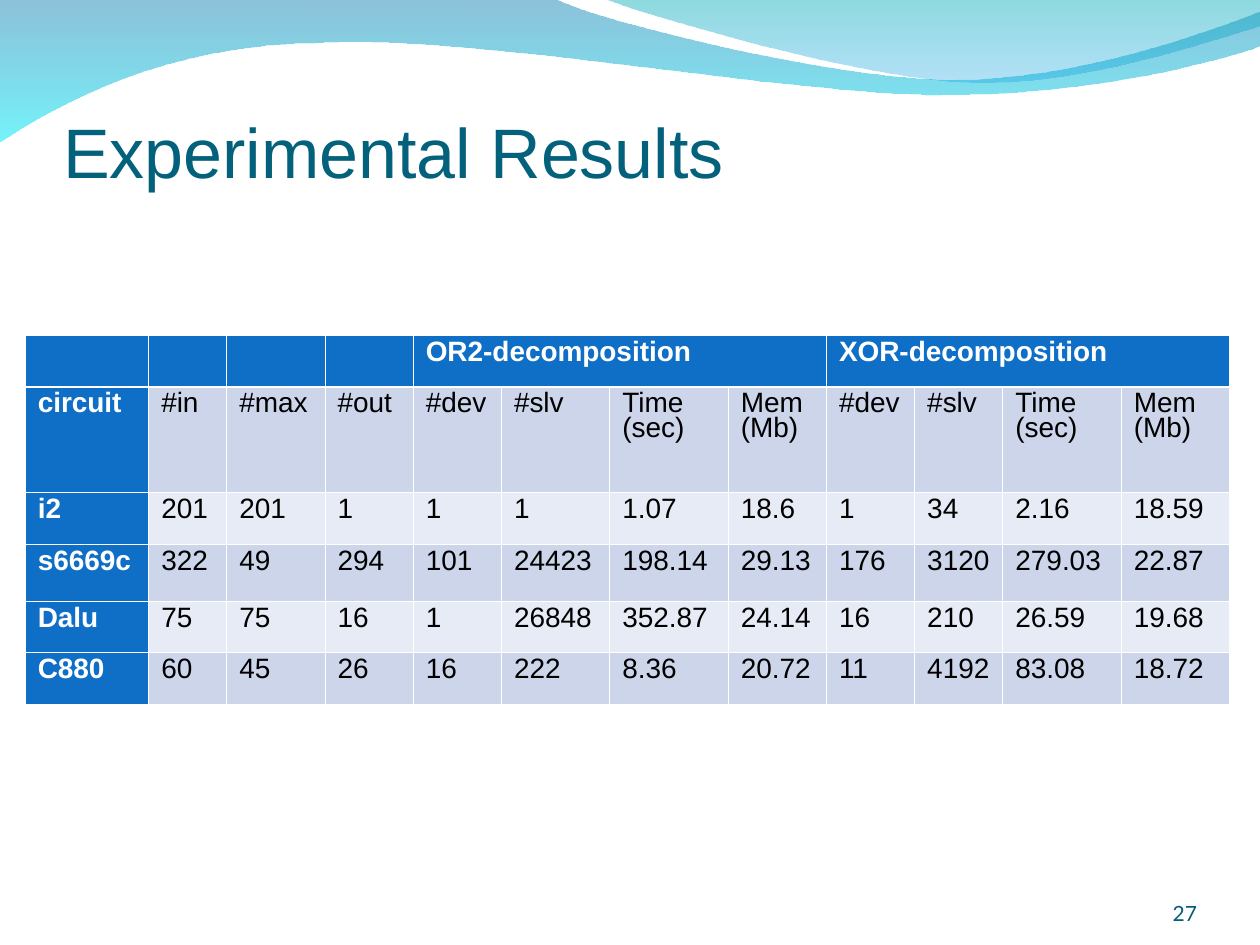
from lxml import etree
from pptx import Presentation
from pptx.dml.color import RGBColor
from pptx.enum.text import MSO_ANCHOR, MSO_AUTO_SIZE, PP_ALIGN
from pptx.oxml.ns import qn
from pptx.util import Inches, Pt

BOTTOM = MSO_ANCHOR.BOTTOM
FIXED = MSO_AUTO_SIZE.NONE
LEFT, RIGHT = PP_ALIGN.LEFT, PP_ALIGN.RIGHT

TEAL = RGBColor(0x04, 0x61, 0x7B)
DARK = RGBColor(0x04, 0x5C, 0x75)
BLUE = RGBColor(0x0F, 0x6F, 0xC6)
PALE = RGBColor(0xCC, 0xD5, 0xEA)
LIGHT = RGBColor(0xE7, 0xEB, 0xF5)
WHITE = RGBColor(0xFF, 0xFF, 0xFF)
BLACK = RGBColor(0x00, 0x00, 0x00)
SEA = RGBColor(0x00, 0x79, 0xAF)
AQUA = RGBColor(0x00, 0xEB, 0xF8)
MINT = RGBColor(0x00, 0xAD, 0xB6)
SKY = RGBColor(0x00, 0x9B, 0xE5)

THIN, THICK = Pt(0.45), Pt(1.47)

BROAD = [
    [(0, -0.01)],
    [(4.4, -0.01)],
    [(4.76, 0.17), (6.64, 0.63), (7.58, 0.63)],
    [(8.53, 0.63), (9.58, 0.26), (10, 0.09)],
    [(10.01, 0.36)],
    [(9.83, 0.44), (8.7, 0.76), (7.46, 0.75)],
    [(6.22, 0.75), (3.82, 0.28), (2.57, 0.34)],
    [(1.29, 0.35), (0.46, 0.83), (-0.01, 1.13)],
    [(0, -0.01)],
]
SLIM = [
    [(4.79, -0.01)],
    [(5.09, 0.11), (6.82, 0.62), (7.69, 0.65)],
    [(8.56, 0.69), (9.61, 0.32), (10, 0.21)],
    [(10, 0)],
    [(4.79, -0.01)],
]

GROUP = ["#dev", "#slv", "Time\n(sec)", "Mem\n(Mb)"]
ROWS = [
    [""] * 4 + ["OR2-decomposition", "", "", "", "XOR-decomposition", "", "", ""],
    ["circuit", "#in", "#max", "#out"] + GROUP * 2,
    "i2 201 201 1 1 1 1.07 18.6 1 34 2.16 18.59".split(),
    "s6669c 322 49 294 101 24423 198.14 29.13 176 3120 279.03 22.87".split(),
    "Dalu 75 75 16 1 26848 352.87 24.14 16 210 26.59 19.68".split(),
    "C880 60 45 26 16 222 8.36 20.72 11 4192 83.08 18.72".split(),
]
WIDTHS = [0.98, 0.62, 0.78, 0.7, 0.7, 0.86, 0.94, 0.78, 0.7, 0.7, 0.94, 0.86]
HEIGHTS = [0.41, 0.84, 0.41, 0.45, 0.41, 0.41]


def style(para, font, size, color, bold=False):
    """Format every run of a paragraph."""
    for run in para.runs:
        run.font.name = font
        run.font.size = Pt(size)
        run.font.bold = bold
        run.font.color.rgb = color


def bend(shape, segs):
    """Join each three line steps of a curved segment into one cubic curve."""
    steps = iter(list(shape.element.iter(qn("a:lnTo"))))
    for seg in segs[1:]:
        first, *rest = [next(steps) for point in seg]
        if rest:
            first.tag = qn("a:cubicBezTo")
            for step in rest:
                first.append(step[0])
                step.getparent().remove(step)


def add_wave(slide, segs, stops):
    """Draw a wave with a translucent downward gradient."""
    pts = [(Inches(x), Inches(y)) for seg in segs for x, y in seg]
    pen = slide.shapes.build_freeform(*pts[0])
    pen.add_line_segments(pts[1:], close=True)
    wave = pen.convert_to_shape()
    bend(wave, segs)
    wave.shadow.inherit = False
    wave.line.fill.background()
    wave.fill.gradient()
    wave.fill.gradient_angle = 270
    for stop, (color, alpha) in zip(wave.fill.gradient_stops, stops):
        stop.color.rgb = color
    for node, (color, alpha) in zip(wave.element.iter(qn("a:srgbClr")), stops):
        etree.SubElement(node, qn("a:alpha")).set("val", str(alpha * 1000))


def set_title(slide, text, left, top, width, height):
    """Place the title in front of the waves."""
    title = slide.shapes.title
    title.element.getparent().append(title.element)
    title.left, title.top, title.width, title.height = left, top, width, height
    frame = title.text_frame
    frame.text = text
    frame.auto_size = FIXED
    frame.vertical_anchor = BOTTOM
    frame.margin_left = frame.margin_right = frame.margin_bottom = 0
    frame.margin_top = Inches(0.05)
    frame.paragraphs[0].alignment = LEFT
    style(frame.paragraphs[0], "Arial", 40, TEAL)


def add_edges(cell, top, bottom):
    """Give a cell white borders."""
    props = cell._tc.get_or_add_tcPr()
    for tag, width in (("lnL", THIN), ("lnR", THIN), ("lnT", top), ("lnB", bottom)):
        line = etree.SubElement(props, qn(f"a:{tag}"), w=str(int(width)))
        fill = etree.SubElement(line, qn("a:solidFill"))
        etree.SubElement(fill, qn("a:srgbClr"), val=str(WHITE))


def add_results(slide, left, top, width, height):
    """Build the table of results."""
    shape = slide.shapes.add_table(len(ROWS), len(WIDTHS), left, top, width, height)
    table = shape.table
    for col, size in zip(table.columns, WIDTHS):
        col.width = Inches(size)
    for row, size in zip(table.rows, HEIGHTS):
        row.height = Inches(size)
    for r, row in enumerate(ROWS):
        for c, text in enumerate(row):
            cell = table.cell(r, c)
            head = r == 0 or c == 0
            add_edges(cell, THICK if r == 1 else THIN, THICK if r == 0 else THIN)
            cell.fill.solid()
            cell.fill.fore_color.rgb = BLUE if head else PALE if r % 2 else LIGHT
            cell.text_frame.text = text
            for para in cell.text_frame.paragraphs:
                para.line_spacing = 0.8
                style(para, "Arial", 16, WHITE if head else BLACK, head)
    for c in (4, 8):
        table.cell(0, c).merge(table.cell(0, c + 3))


def add_number(slide, text, left, top, width, height):
    """Write the page number at the lower right."""
    frame = slide.shapes.add_textbox(left, top, width, height).text_frame
    frame.text = text
    frame.word_wrap = True
    frame.vertical_anchor = BOTTOM
    frame.margin_left = frame.margin_right = frame.margin_top = frame.margin_bottom = 0
    frame.paragraphs[0].alignment = RIGHT
    style(frame.paragraphs[0], "Lato", 12, DARK)


def main():
    """Build the slide and save it."""
    deck = Presentation()
    deck.slide_width, deck.slide_height = Inches(10), Inches(7.5)
    slide = deck.slides.add_slide(deck.slide_layouts[5])
    add_wave(slide, BROAD, [(SEA, 45), (AQUA, 55)])
    add_wave(slide, SLIM, [(MINT, 45), (SKY, 30)])
    set_title(slide, "Experimental Results", Inches(0.5), Inches(0.6), Inches(9), Inches(0.93))
    add_results(slide, Inches(0.2), Inches(2.66), Inches(9.57), Inches(2.92))
    add_number(slide, "27", Inches(8.67), Inches(6.95), Inches(0.83), Inches(0.4))
    deck.save("out.pptx")


if __name__ == "__main__":
    main()
